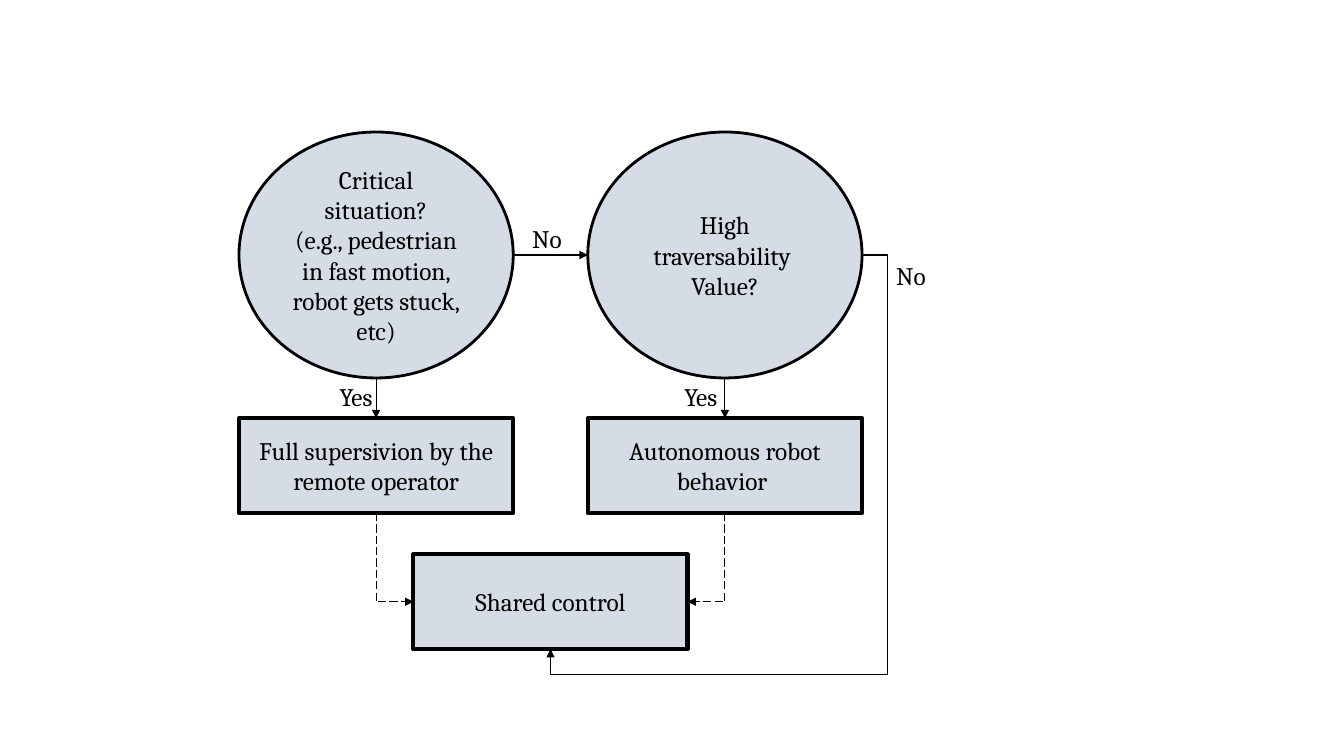
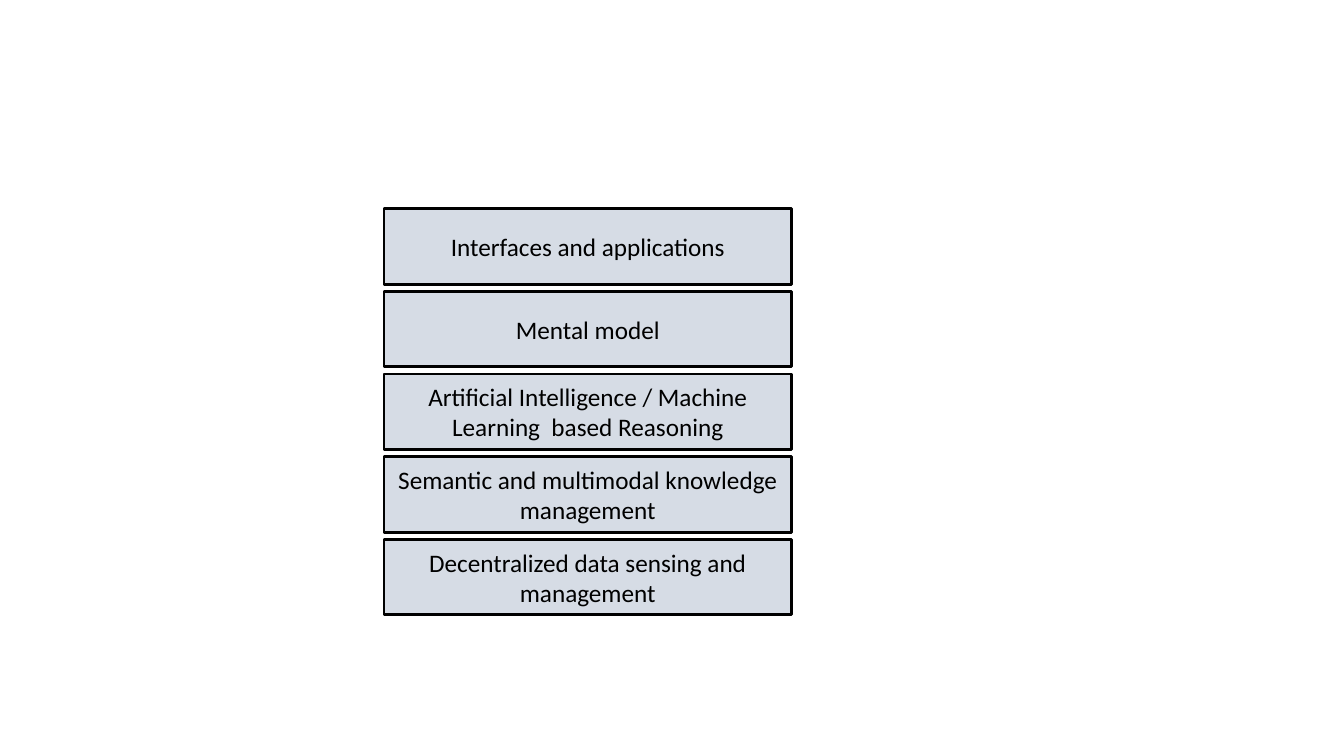
from lxml import etree
from pptx import Presentation
from pptx.dml.color import RGBColor
from pptx.enum.dml import MSO_LINE_DASH_STYLE
from pptx.enum.shapes import MSO_CONNECTOR, MSO_SHAPE
from pptx.enum.text import MSO_ANCHOR, PP_ALIGN
from pptx.oxml.ns import qn
from pptx.util import Inches, Pt

ELLIPSE, RECTANGLE = MSO_SHAPE.OVAL, MSO_SHAPE.RECTANGLE
STRAIGHT, ELBOW = MSO_CONNECTOR.STRAIGHT, MSO_CONNECTOR.ELBOW
LONG_DASH = MSO_LINE_DASH_STYLE.LONG_DASH
CENTER, LEFT_ALIGNED = PP_ALIGN.CENTER, PP_ALIGN.LEFT
MIDDLE = MSO_ANCHOR.MIDDLE
TOP, LEFT, BOTTOM, RIGHT = range(4)
BLANK_LAYOUT = 6
COLORS = {"fill": "D6DCE5", "ink": "000000"}


def color(name):
    return RGBColor.from_string(COLORS[name])


class Diagram:
    """Holds the shared style and the current slide."""

    def __init__(self, presentation):
        self.presentation = presentation
        self.slide = None
        self.font_name = None

    def new_slide(self, font_name):
        layout = self.presentation.slide_layouts[BLANK_LAYOUT]
        self.slide = self.presentation.slides.add_slide(layout)
        self.font_name = font_name

    def set_text(self, shape, text, alignment):
        shape.text_frame.word_wrap = True
        shape.text_frame.text = text
        for paragraph in shape.text_frame.paragraphs:
            paragraph.alignment = alignment
            for run in paragraph.runs:
                run.font.name = self.font_name
                run.font.size = Pt(18)
                run.font.color.rgb = color("ink")

    def node(self, kind, left, top, width, height, text, line_width=2):
        shape = self.slide.shapes.add_shape(
            kind, Inches(left), Inches(top), Inches(width), Inches(height))
        shape.shadow.inherit = False
        shape.fill.solid()
        shape.fill.fore_color.rgb = color("fill")
        shape.line.color.rgb = color("ink")
        shape.line.width = Pt(line_width)
        shape.text_frame.vertical_anchor = MIDDLE
        self.set_text(shape, text, CENTER)
        return shape

    def label(self, left, top, text):
        box = self.slide.shapes.add_textbox(
            Inches(left), Inches(top), Inches(1.23), Inches(0.4))
        self.set_text(box, text, LEFT_ALIGNED)

    def arrow(self, start, start_side, end, end_side, kind=STRAIGHT, dash=None):
        connector = self.slide.shapes.add_connector(kind, 0, 0, 0, 0)
        connector.begin_connect(start, start_side)
        connector.end_connect(end, end_side)
        # An ellipse has eight connection sites, so its sides are every second one
        for shape, side, tag in ((start, start_side, "a:stCxn"), (end, end_side, "a:endCxn")):
            if shape.auto_shape_type == ELLIPSE:
                connector._element.find(".//" + qn(tag)).set("idx", str(2 * side))
        connector.line.color.rgb = color("ink")
        connector.line.width = Pt(0.75)
        if dash:
            connector.line.dash_style = dash
        properties = connector._element.spPr
        etree.SubElement(properties.find(qn("a:ln")), qn("a:tailEnd"), type="triangle")
        etree.SubElement(properties, qn("a:effectLst"))
        return connector

    def corner_arrow(self, start, end, end_side):
        """Dashed arrow that goes down and then sideways."""
        connector = self.arrow(start, BOTTOM, end, end_side, ELBOW, LONG_DASH)
        goes_right = connector.end_x > connector.begin_x
        center_x = (connector.begin_x + connector.end_x) // 2
        center_y = (connector.begin_y + connector.end_y) // 2
        width, height = connector.height, connector.width
        connector.left, connector.top = center_x - width // 2, center_y - height // 2
        connector.width, connector.height = width, height
        transform = connector._element.spPr.find(qn("a:xfrm"))
        transform.set("rot", str((270 if goes_right else 90) * 60000))
        transform.set("flipH", "1" if goes_right else "0")
        transform.set("flipV", "0")
        connector._element.spPr.find(qn("a:prstGeom")).set("prst", "bentConnector2")

    def detour_arrow(self, start, end, clearance=0.25):
        """Arrow that leaves to the right and returns from below."""
        connector = self.arrow(start, RIGHT, end, BOTTOM, ELBOW)
        geometry = connector._element.spPr.find(qn("a:prstGeom"))
        geometry.set("prst", "bentConnector4")
        adjustments = geometry.find(qn("a:avLst"))
        if adjustments is None:
            adjustments = etree.SubElement(geometry, qn("a:avLst"))
        ratios = (-Inches(clearance) / connector.width,
                  1 + Inches(clearance) / connector.height)
        for number, ratio in enumerate(ratios, 1):
            etree.SubElement(adjustments, qn("a:gd"), name=f"adj{number}",
                             fmla=f"val {round(ratio * 100000)}")


def build_decision_flow(diagram):
    diagram.new_slide("Cambria")
    node_width, question_height, action_height = 2.72, 2.44, 0.94
    left_column, right_column = 2.37, 5.83

    def question(left, text):
        return diagram.node(ELLIPSE, left, 1.31, node_width, question_height, text)

    def action(left, top, text):
        return diagram.node(RECTANGLE, left, top, node_width, action_height, text, 3)

    # Questions and actions
    traversability = question(right_column, "High traversability \nValue?")
    critical = question(
        left_column,
        "Critical situation?\n(e.g., pedestrian in fast motion, robot gets stuck, etc)")
    supervision = action(left_column, 4.15, "Full supersivion by the remote operator")
    autonomous = action(right_column, 4.15, "Autonomous robot behavior ")
    shared = action((left_column + right_column) / 2, 5.5, "Shared control")

    # Arrows
    diagram.arrow(critical, BOTTOM, supervision, TOP)
    diagram.arrow(traversability, BOTTOM, autonomous, TOP)
    diagram.arrow(critical, RIGHT, traversability, LEFT)
    diagram.detour_arrow(traversability, shared)
    diagram.corner_arrow(autonomous, shared, RIGHT)
    diagram.corner_arrow(supervision, shared, LEFT)

    # Answers
    for left, top, text in ((6.69, 3.73, "Yes"), (3.27, 3.73, "Yes"),
                            (8.79, 2.53, "No"), (5.18, 2.17, "No")):
        diagram.label(left, top, text)


def build_layer_stack(diagram):
    diagram.new_slide("Calibri")
    layers = (
        "Interfaces and applications",
        "Mental model",
        "Artificial Intelligence / Machine Learning  based Reasoning",
        "Semantic and multimodal knowledge management",
        "Decentralized data sensing and management",
    )
    height, gap = 0.75, 0.07
    for index, text in enumerate(layers):
        diagram.node(RECTANGLE, 3.81, 2.07 + index * (height + gap), 4.04, height, text)


def main():
    presentation = Presentation()
    presentation.slide_width = Inches(13.33)
    presentation.slide_height = Inches(7.5)
    diagram = Diagram(presentation)
    build_decision_flow(diagram)
    build_layer_stack(diagram)
    presentation.save("out.pptx")


if __name__ == "__main__":
    main()
